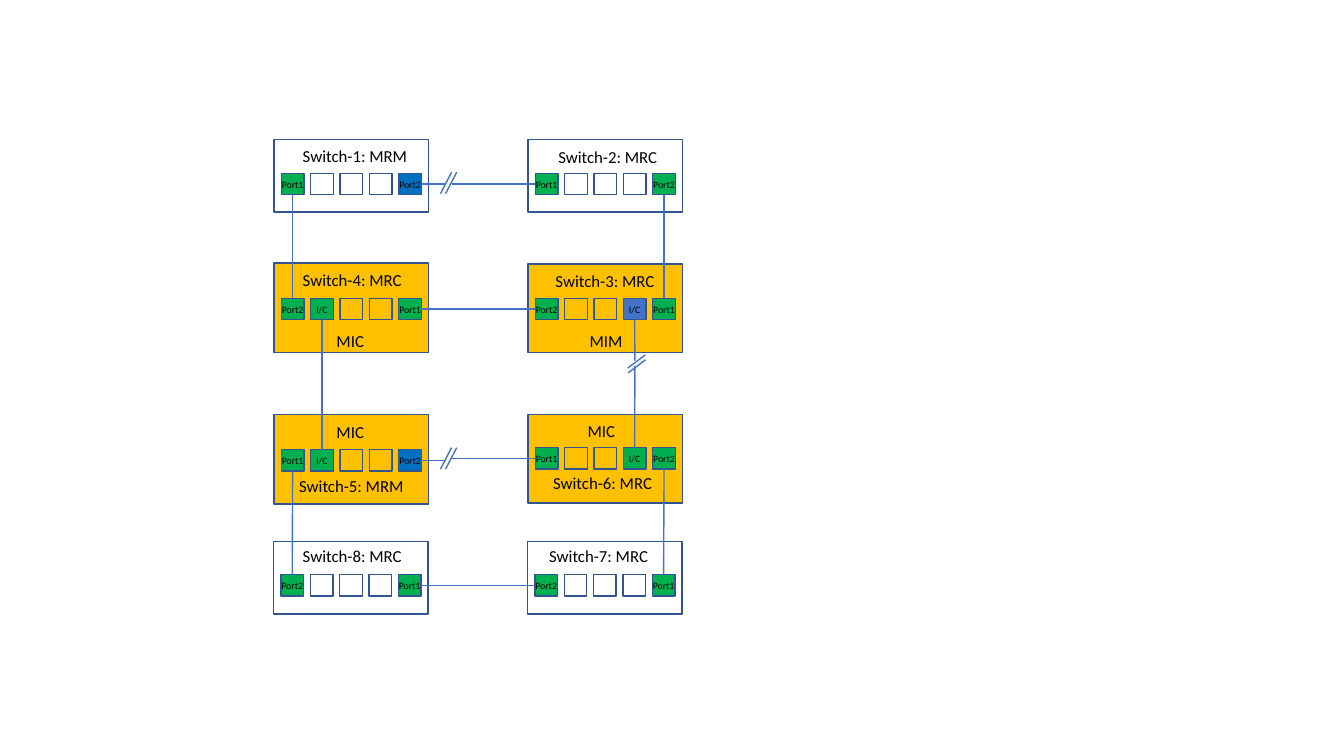
from dataclasses import dataclass

from lxml import etree
from pptx import Presentation
from pptx import util as u
from pptx.dml import color
from pptx.enum import shapes, text
from pptx.oxml import ns


@dataclass(frozen=True)
class Theme:
    green: str = "00B050"
    blue: str = "0070C0"
    slate: str = "4472C4"
    amber: str = "FFC000"
    edge: str = "325491"
    ink: str = "000000"
    font: str = "Calibri"
    large: int = 12
    small: int = 7
    line: float = 1


THEME = Theme()
TOP, LEFT, BOTTOM, RIGHT = range(4)

# Lengths in centimetres
BOX_W = 3.89
PORT_W, PORT_H = 0.57, 0.54
INSET, PITCH = 0.18, 0.74
LABEL_H = 0.47
LABEL_W = {"MRM": 2.8, "MRC": 2.7, "MIC": 1.1, "MIM": 1.3}

# Ports, as (text, fill)
G1, G2 = ("Port1", THEME.green), ("Port2", THEME.green)
B2 = ("Port2", THEME.blue)
IC, IM = ("I/C", THEME.green), ("I/C", THEME.slate)
NO = ("", None)

# Switch number: box (left, top, height, fill), port top, ports, labels
NODES = {
    1: ((6.91, 3.51, 1.83, None), 4.37, (G1, NO, NO, NO, B2),
        [("Switch-1: MRM", 7.63, 3.69)]),
    2: ((13.31, 3.51, 1.83, None), 4.37, (G1, NO, NO, NO, G2),
        [("Switch-2: MRC", 14.07, 3.71)]),
    3: ((13.31, 6.65, 2.24, THEME.amber), 7.52, (G2, NO, NO, IM, G1),
        [("Switch-3: MRC", 14.0, 6.83), ("MIM", 14.86, 8.36)]),
    4: ((6.91, 6.63, 2.26, THEME.amber), 7.52, (G2, IC, NO, NO, G1),
        [("Switch-4: MRC", 7.63, 6.81), ("MIC", 8.48, 8.36)]),
    5: ((6.91, 10.44, 2.26, THEME.amber), 11.33, (G1, IC, NO, NO, B2),
        [("Switch-5: MRM", 7.54, 12.01), ("MIC", 8.48, 10.64)]),
    6: ((13.31, 10.44, 2.24, THEME.amber), 11.28, (G1, NO, NO, IC, G2),
        [("Switch-6: MRC", 13.94, 11.94), ("MIC", 14.81, 10.62)]),
    7: ((13.3, 13.64, 1.83, None), 14.48, (G2, NO, NO, NO, G1),
        [("Switch-7: MRC", 13.84, 13.77)]),
    8: ((6.9, 13.64, 1.83, None), 14.48, (G2, NO, NO, NO, G1),
        [("Switch-8: MRC", 7.63, 13.77)]),
}

# Whole links: (switch, port, side) at both ends
LINKS = [
    ((1, 0, BOTTOM), (4, 0, TOP)),
    ((2, 4, BOTTOM), (3, 4, TOP)),
    ((4, 4, RIGHT), (3, 0, LEFT)),
    ((4, 1, BOTTOM), (5, 1, TOP)),
    ((5, 0, BOTTOM), (8, 0, TOP)),
    ((6, 4, BOTTOM), (7, 4, TOP)),
    ((8, 4, RIGHT), (7, 0, LEFT)),
]

# Cut links: both ends, the two loose ends, the slash size and slash centres
CUTS = [
    ((1, 4, RIGHT), (2, 0, LEFT), (11.23, 4.64), (11.38, 4.64),
     (0.28, 0.54), [(11.24, 4.61), (11.37, 4.61)]),
    ((5, 4, RIGHT), (6, 0, LEFT), (11.23, 11.6), (11.38, 11.55),
     (0.28, 0.54), [(11.24, 11.55), (11.37, 11.55)]),
    ((3, 3, BOTTOM), (6, 3, TOP), (16.0, 9.09), (16.0, 9.22),
     (0.44, 0.33), [(16.04, 9.11), (16.05, 9.23)]),
]


def rgb(code):
    return color.RGBColor.from_string(code)


def write(frame, words, size, align):
    frame.margin_left = frame.margin_right = 0
    frame.margin_top = frame.margin_bottom = 0
    frame.vertical_anchor = text.MSO_ANCHOR.MIDDLE
    frame.word_wrap = size == THEME.large
    para = frame.paragraphs[0]
    para.text = words
    para.alignment = align
    para.font.name = THEME.font
    para.font.size = u.Pt(size)
    para.font.color.rgb = rgb(THEME.ink)


def rect(slide, x, y, w, h, fill):
    box = slide.shapes.add_shape(
        shapes.MSO_SHAPE.RECTANGLE, u.Cm(x), u.Cm(y), u.Cm(w), u.Cm(h))
    box.shadow.inherit = False
    if fill:
        box.fill.solid()
        box.fill.fore_color.rgb = rgb(fill)
    else:
        box.fill.background()
    box.line.color.rgb = rgb(THEME.edge)
    box.line.width = u.Pt(THEME.line)
    return box


def label(slide, words, x, y):
    box = slide.shapes.add_textbox(
        u.Cm(x), u.Cm(y), u.Cm(LABEL_W[words[-3:]]), u.Cm(LABEL_H))
    write(box.text_frame, words, THEME.large, text.PP_ALIGN.LEFT)


def node(slide, frame, port_top, ports, labels):
    """Draw one switch and return its port shapes."""
    x, y, h, fill = frame
    rect(slide, x, y, BOX_W, h, fill)
    made = []
    for i, (words, tint) in enumerate(ports):
        port = rect(slide, x + INSET + i * PITCH, port_top,
                    PORT_W, PORT_H, tint)
        if words:
            write(port.text_frame, words, THEME.small, text.PP_ALIGN.CENTER)
        made.append(port)
    for item in labels:
        label(slide, *item)
    return made


def wire(slide, start=(0, 0), end=(0, 0)):
    line = slide.shapes.add_connector(
        shapes.MSO_CONNECTOR.STRAIGHT, *map(u.Cm, (*start, *end)))
    line.line.color.rgb = rgb(THEME.slate)
    line.line.width = u.Pt(THEME.line)
    etree.SubElement(line._element.spPr, ns.qn("a:effectLst"))
    return line


def link(slide, ports, head, tail):
    line = wire(slide)
    line.begin_connect(ports[head[0]][head[1]], head[2])
    line.end_connect(ports[tail[0]][tail[1]], tail[2])


def cut(slide, ports, head, tail, stop, start, size, marks):
    first = wire(slide, end=stop)
    first.begin_connect(ports[head[0]][head[1]], head[2])
    last = wire(slide, start=start)
    last.end_connect(ports[tail[0]][tail[1]], tail[2])
    w, h = size
    for x, y in marks:
        wire(slide, (x + w / 2, y - h / 2), (x - w / 2, y + h / 2))


def main():
    deck = Presentation()
    deck.slide_width, deck.slide_height = u.Cm(33.87), u.Cm(19.05)
    slide = deck.slides.add_slide(deck.slide_layouts[6])

    # Switches with their ports
    ports = {key: node(slide, *row) for key, row in NODES.items()}

    # Ring and interconnection links
    for ends in LINKS:
        link(slide, ports, *ends)
    for row in CUTS:
        cut(slide, ports, *row)

    deck.save("out.pptx")


if __name__ == "__main__":
    main()
